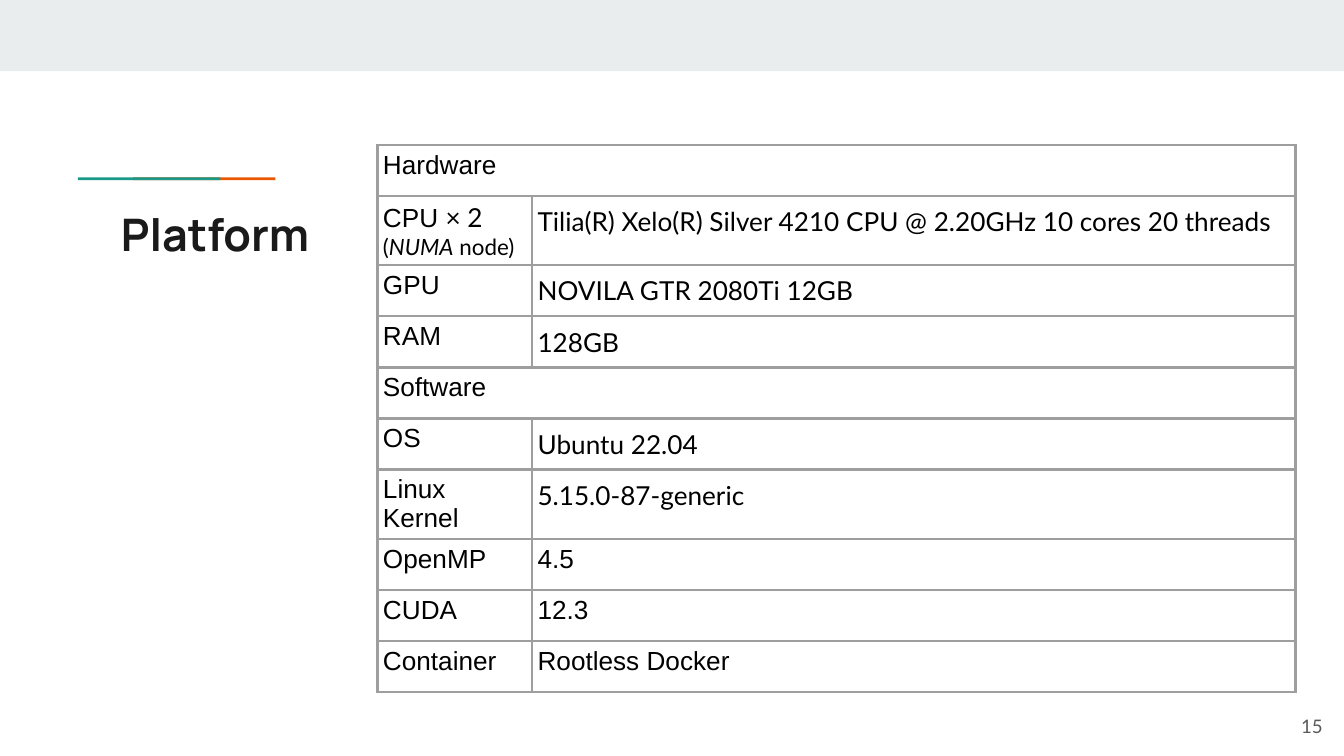
from dataclasses import dataclass

from lxml.etree import SubElement
from pptx import Presentation
from pptx.dml.color import RGBColor
from pptx.enum.shapes import MSO_SHAPE as Shape
from pptx.enum.text import MSO_ANCHOR as Anchor, PP_ALIGN as Align
from pptx.oxml.ns import qn
from pptx.util import Inches, Pt


@dataclass(frozen=True)
class Theme:
    band: str = "E9EDEE"
    orange: str = "EB5600"
    teal: str = "1A9988"
    title: str = "1A1A1A"
    ink: str = "000000"
    muted: str = "595959"
    border: str = "9E9E9E"
    title_font: str = "Manrope"
    label_font: str = "Arial"
    value_font: str = "Lato"
    title_size: int = 24
    body_size: int = 14
    note_size: int = 12
    number_size: int = 10
    border_width: float = 1.5


THEME = Theme()

LATO = dict(font=THEME.value_font)
NOTE = dict(font=THEME.value_font, size=THEME.note_size)
DETAIL = dict(font=THEME.value_font, line_spacing=1.15, space_after=12)

CPU_LABEL = [
    [("CPU ", {}), ("× 2", LATO)],
    [("(", NOTE), ("NUMA", dict(NOTE, italic=True)), (" node)", NOTE)],
]

ROWS = [
    ("Hardware", None, {}),
    (CPU_LABEL, "Tilia(R) Xelo(R) Silver 4210 CPU @ 2.20GHz 10 cores 20 threads", DETAIL),
    ("GPU", "NOVILA GTR 2080Ti 12GB", DETAIL),
    ("RAM", "128GB", DETAIL),
    ("Software", None, {}),
    ("OS", "Ubuntu 22.04", DETAIL),
    ("Linux Kernel", "5.15.0-87-generic", DETAIL),
    ("OpenMP", "4.5", {}),
    ("CUDA", "12.3", {}),
    ("Container", "Rootless Docker", {}),
]


def format_span(span, font=THEME.label_font, size=THEME.body_size,
                color=THEME.ink, bold=False, italic=False):
    span.font.name = font
    span.font.size = Pt(size)
    span.font.bold = bold
    span.font.italic = italic
    span.font.color.rgb = RGBColor.from_string(color)


def write_text(frame, content, align=Align.LEFT, line_spacing=None,
               space_after=None, **style):
    paragraphs = [[(content, {})]] if isinstance(content, str) else content
    for index, spans in enumerate(paragraphs):
        para = frame.add_paragraph() if index else frame.paragraphs[0]
        para.alignment = align
        if line_spacing:
            para.line_spacing = line_spacing
        if space_after:
            para.space_after = Pt(space_after)
        for text, span_style in spans:
            span = para.add_run()
            span.text = text
            format_span(span, **{**style, **span_style})


def set_layout(holder, inset, anchor):
    holder.margin_left = holder.margin_right = Inches(inset)
    holder.margin_top = holder.margin_bottom = Inches(inset)
    holder.vertical_anchor = anchor


def add_bar(page, left, top, width, height, color):
    bar = page.shapes.add_shape(
        Shape.RECTANGLE, Inches(left), Inches(top), Inches(width), Inches(height))
    bar.shadow.inherit = False
    bar.fill.solid()
    bar.fill.fore_color.rgb = RGBColor.from_string(color)
    bar.line.fill.background()


def add_title(page, text):
    title = page.shapes.title
    title.left, title.top = Inches(0.8), Inches(1.44)
    title.width, title.height = Inches(8.41), Inches(0.59)
    title.text_frame.word_wrap = True
    set_layout(title.text_frame, 0.1, Anchor.TOP)
    write_text(title.text_frame, text, font=THEME.title_font,
               size=THEME.title_size, color=THEME.title, bold=True)


def add_page_number(page, text):
    box = page.shapes.add_textbox(Inches(9.34), Inches(5.19), Inches(0.6), Inches(0.43))
    box.text_frame.word_wrap = True
    set_layout(box.text_frame, 0.1, Anchor.MIDDLE)
    write_text(box.text_frame, text, align=Align.RIGHT, font=THEME.value_font,
               size=THEME.number_size, color=THEME.muted)


def draw_borders(cell):
    properties = cell._tc.get_or_add_tcPr()
    for index, side in enumerate(("lnL", "lnR", "lnT", "lnB")):
        line = SubElement(properties, qn(f"a:{side}"), w=str(Pt(THEME.border_width)))
        fill = SubElement(line, qn("a:solidFill"))
        SubElement(fill, qn("a:srgbClr"), val=THEME.border)
        properties.insert(index, line)


def add_platform_table(page):
    widths, row_height = (1.15, 5.68), 0.38
    table = page.shapes.add_table(
        len(ROWS), len(widths), Inches(2.81), Inches(1.08),
        Inches(sum(widths)), Inches(row_height * len(ROWS))).table
    table.first_row = table.horz_banding = False
    for column, width in zip(table.columns, widths):
        column.width = Inches(width)
    for row, (label, value, style) in zip(table.rows, ROWS):
        row.height = Inches(row_height)
        label_cell, value_cell = row.cells
        for cell in (label_cell, value_cell):
            cell.fill.background()
            draw_borders(cell)
            set_layout(cell, 0.04, Anchor.TOP)
        write_text(label_cell.text_frame, label)
        if value is None:
            label_cell.merge(value_cell)
        else:
            write_text(value_cell.text_frame, value, **style)


def main():
    deck = Presentation()
    deck.slide_width, deck.slide_height = Inches(10), Inches(10 * 9 / 16)
    page = deck.slides.add_slide(deck.slide_layouts[5])
    add_bar(page, 0, 0, 10, 0.53, THEME.band)
    add_bar(page, 0.99, 1.32, 1.06, 0.02, THEME.orange)
    add_bar(page, 0.58, 1.32, 1.06, 0.02, THEME.teal)
    add_title(page, "Platform")
    add_platform_table(page)
    add_page_number(page, "15")
    deck.save("out.pptx")


if __name__ == "__main__":
    main()
